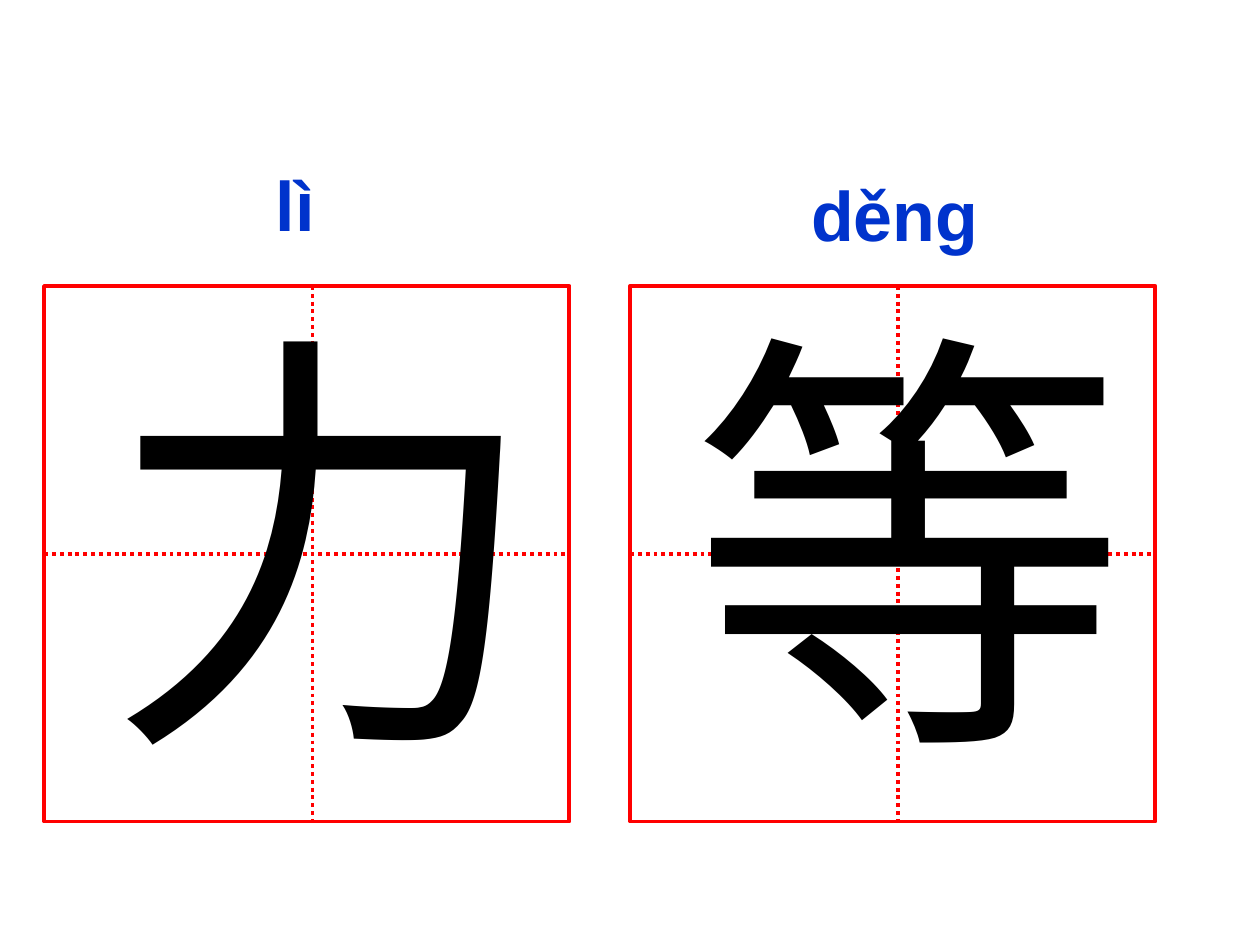
from dataclasses import dataclass

from lxml import etree
from pptx import Presentation
from pptx.dml.color import RGBColor
from pptx.enum import dml, shapes, text
from pptx.oxml import ns
from pptx.util import Inches, Pt

RED = RGBColor(0xFF, 0x00, 0x00)
BLUE = RGBColor(0x00, 0x33, 0xCC)
BLACK = RGBColor(0x00, 0x00, 0x00)

GRID_TOP, GRID_WIDTH, GRID_HEIGHT = 2.27, 4.17, 4.25
GUIDE_OFFSET = 2.13
HANZI_FORMAT = {"name": "Arial", "size": Pt(250)}
PINYIN_FORMAT = {"name": "Arial", "size": Pt(40), "bold": True}


@dataclass
class Card:
    hanzi: str
    pinyin: str
    left: float
    pinyin_left: float
    pinyin_top: float


CARDS = [
    Card("力", "lì", 0.35, 2.09, 1.23),
    Card("等", "děng", 5.0, 6.34, 1.31),
]


def add_label(s, label: str, left: float, top: float, width: float,
              height: float, font_format: dict, color: RGBColor) -> None:
    box = s.shapes.add_textbox(*map(Inches, (left, top, width, height)))
    tf = box.text_frame
    tf.word_wrap = True
    tf.auto_size = text.MSO_AUTO_SIZE.SHAPE_TO_FIT_TEXT
    r = tf.paragraphs[0].add_run()
    r.text = label
    for name, value in font_format.items():
        setattr(r.font, name, value)
    r.font.color.rgb = color


def add_guide(s, x1: float, y1: float, x2: float, y2: float):
    guide = s.shapes.add_connector(
        shapes.MSO_CONNECTOR.STRAIGHT, *map(Inches, (x1, y1, x2, y2)))
    guide.line.color.rgb = RED
    guide.line.width = Pt(2.25)
    guide.line.dash_style = dml.MSO_LINE.ROUND_DOT
    etree.SubElement(guide._element.spPr, ns.qn("a:effectLst"))
    return guide


def add_grid(s, left: float) -> None:
    """Draw a writing square with dotted guides across and down."""
    square = s.shapes.add_shape(
        shapes.MSO_SHAPE.RECTANGLE,
        *map(Inches, (left, GRID_TOP, GRID_WIDTH, GRID_HEIGHT)))
    square.shadow.inherit = False
    square.fill.background()
    square.line.color.rgb = RED
    square.line.width = Pt(2.25)

    middle = GRID_TOP + GRID_HEIGHT / 2
    across = add_guide(s, left, middle, left + GRID_WIDTH, middle)
    across.begin_connect(square, 1)
    across.end_connect(square, 3)
    x = left + GUIDE_OFFSET
    add_guide(s, x, GRID_TOP, x, GRID_TOP + GRID_HEIGHT)


def add_card(s, card: Card) -> None:
    add_grid(s, card.left)
    add_label(s, card.hanzi, card.left + 0.38, 2.1, 3.95, 4.27,
              HANZI_FORMAT, BLACK)
    add_label(s, card.pinyin, card.pinyin_left, card.pinyin_top, 2.36, 0.77,
              PINYIN_FORMAT, BLUE)


def main() -> None:
    prs = Presentation()
    prs.slide_width, prs.slide_height = Inches(10), Inches(7.5)
    s = prs.slides.add_slide(prs.slide_layouts[6])
    for card in CARDS:
        add_card(s, card)
    prs.save("out.pptx")


if __name__ == "__main__":
    main()
